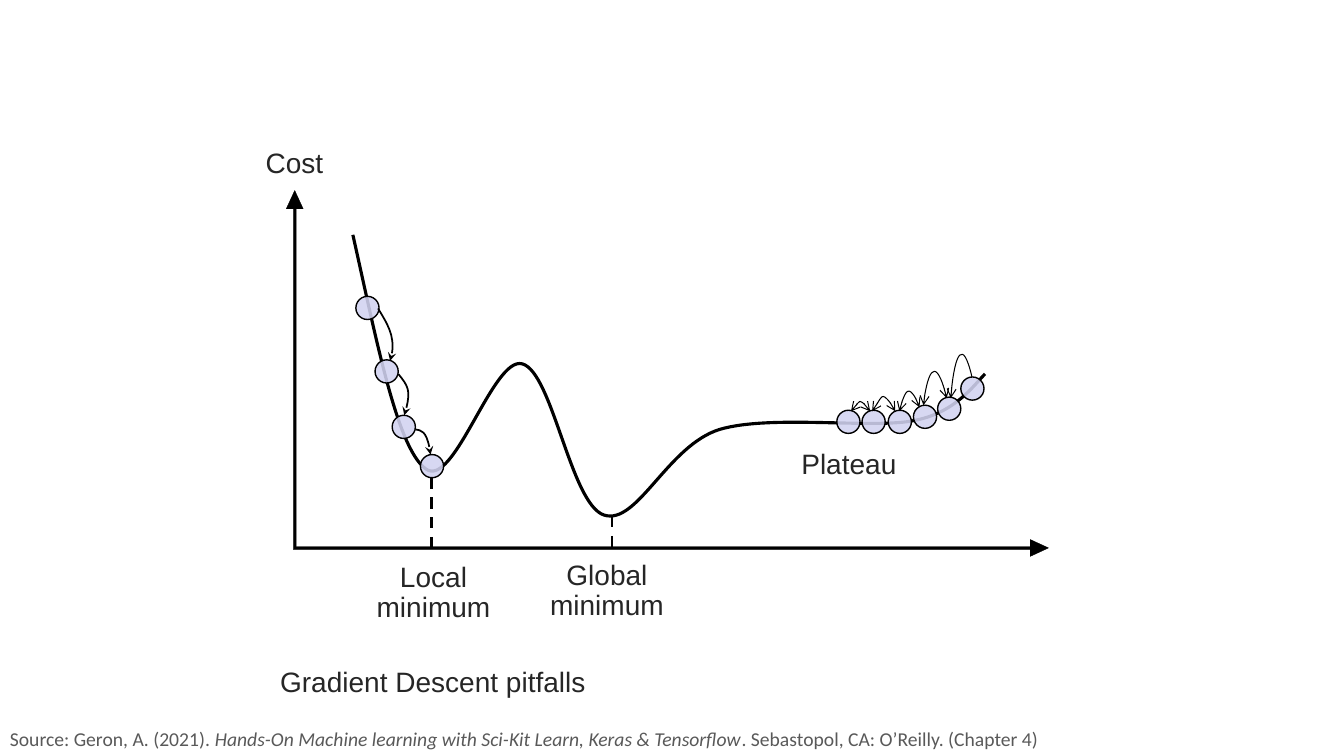
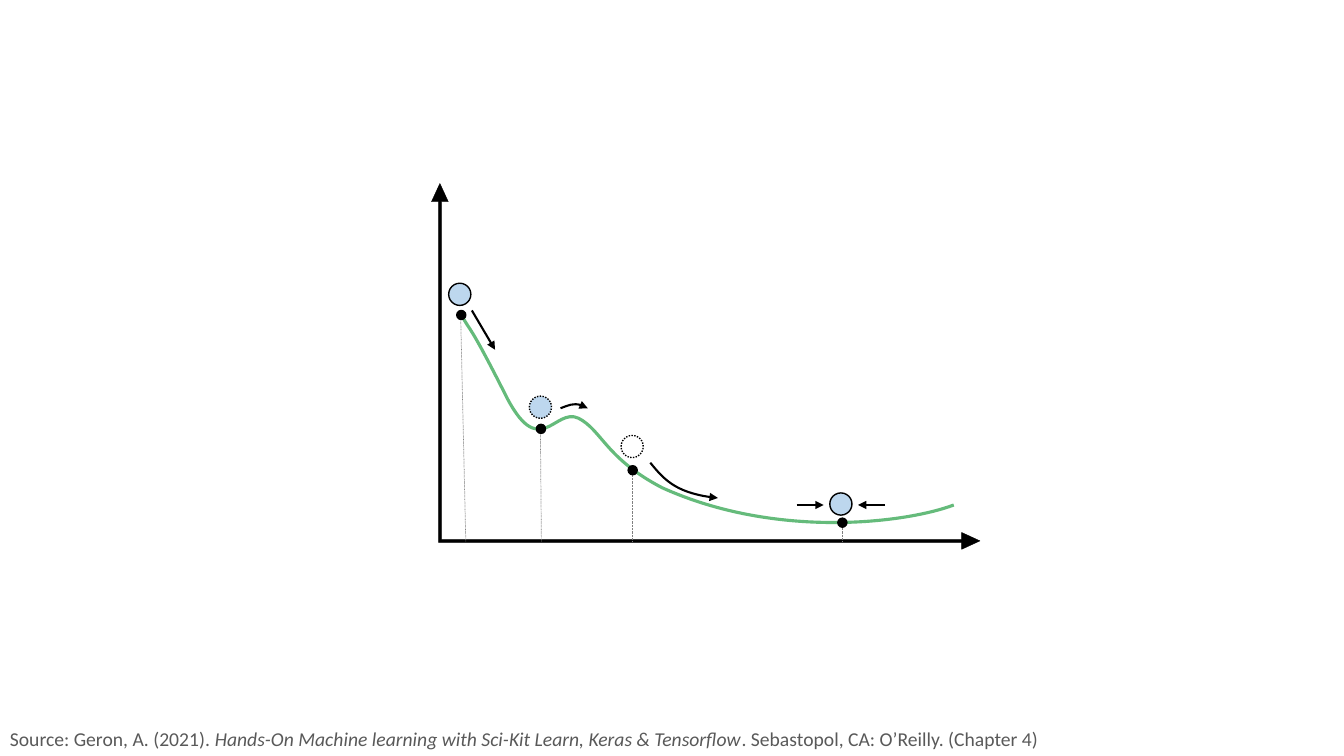
from lxml import etree
from pptx import Presentation
from pptx.dml.color import RGBColor
from pptx.enum.dml import MSO_LINE
from pptx.enum.shapes import MSO_CONNECTOR, MSO_SHAPE
from pptx.enum.text import PP_ALIGN
from pptx.oxml.ns import qn
from pptx.util import Inches, Pt

ELLIPSE, AXES = MSO_SHAPE.OVAL, MSO_SHAPE.LEFT_UP_ARROW
STRAIGHT = MSO_CONNECTOR.STRAIGHT
DASH, DOT = MSO_LINE.DASH, MSO_LINE.ROUND_DOT
CENTER = PP_ALIGN.CENTER

COLORS = {
    "ink": "000000",
    "label": "262626",
    "source": "595959",
    "guide": "808080",
    "step": "D2D3F1",
    "ball": "BDD7EE",
    "momentum": "65BB7B",
}
LABEL = {"name": "Arial", "size": Pt(20)}
SOURCE = {"name": "Calibri", "size": Pt(14)}
SOURCE_RUNS = [
    ("Source: Geron, A. (2021). ", False),
    ("Hands-On Machine learning with Sci-Kit Learn, Keras & Tensorflow", True),
    (". Sebastopol, CA: O’Reilly. (Chapter 4)", False),
]
AXES_ADJUSTMENTS = (0.008, 0.023, 0.05)
SAMPLES = 20


def rgb(name):
    return RGBColor.from_string(COLORS[name])


def style_line(shape, width, color="ink", dash=None, head=None, tail=None):
    line = shape.line
    line.color.rgb = rgb(color)
    line.width = Pt(width)
    if dash:
        line.dash_style = dash
    ln = shape._element.spPr.find(qn("a:ln"))
    for tag, kind in (("a:headEnd", head), ("a:tailEnd", tail)):
        if kind:
            etree.SubElement(ln, qn(tag), type=kind)


def add_text(s, box, runs, fmt, color, align=None, spacing=None):
    """Write one paragraph of (text, italic) runs in a wrapping box."""
    tf = s.shapes.add_textbox(*map(Inches, box)).text_frame
    tf.word_wrap = True
    p = tf.paragraphs[0]
    p.alignment = align
    p.line_spacing = spacing
    for text, italic in runs:
        r = p.add_run()
        r.text = text
        r.font.color.rgb = rgb(color)
        for key, value in {**fmt, "italic": italic}.items():
            setattr(r.font, key, value)


def cubic(a, b, c, d, t):
    u = 1 - t
    return tuple(u**3 * i + 3 * u * u * t * j + 3 * u * t * t * k + t**3 * m
                 for i, j, k, m in zip(a, b, c, d))


class Plot:
    """A pair of axes; all positions are inches from its top left corner."""

    def __init__(self, s, left, top, width, height):
        self.s, self.left, self.top = s, left, top
        axes = self.shape(AXES, 0, 0, width, height, "ink")
        axes._element.spPr.find(qn("a:xfrm")).set("flipH", "1")
        for i, value in enumerate(AXES_ADJUSTMENTS):
            axes.adjustments[i] = value
        style_line(axes, 0.25)

    def at(self, x, y):
        return Inches(self.left + x), Inches(self.top + y)

    def shape(self, kind, x, y, width, height, fill=None):
        shape = self.s.shapes.add_shape(
            kind, *self.at(x, y), Inches(width), Inches(height))
        shape.shadow.inherit = False
        if fill:
            shape.fill.solid()
            shape.fill.fore_color.rgb = rgb(fill)
        else:
            shape.fill.background()
        return shape

    def circle(self, x, y, size, fill=None, dash=None, opacity=None):
        circle = self.shape(ELLIPSE, x, y, size, size, fill)
        style_line(circle, 1, dash=dash)
        if opacity:
            color = circle._element.spPr.find(qn("a:solidFill"))[0]
            etree.SubElement(color, qn("a:alpha"), val=str(opacity * 1000))

    def line(self, start, end, width, **style):
        line = self.s.shapes.add_connector(
            STRAIGHT, *self.at(*start), *self.at(*end))
        style_line(line, width, **style)
        etree.SubElement(line._element.spPr, qn("a:effectLst"))

    def curve(self, points, width, **style):
        """Draw a Bezier curve: a start, then three points for each segment."""
        points = [self.at(*point) for point in points]
        samples = [cubic(*points[i:i + 4], n / SAMPLES)
                   for i in range(0, len(points) - 1, 3)
                   for n in range(1, SAMPLES + 1)]
        builder = self.s.shapes.build_freeform(*points[0])
        builder.add_line_segments(samples, close=False)
        curve = builder.convert_to_shape()
        # The samples give the tight bounds; the segments become true Beziers.
        outline = next(curve._element.spPr.iter(qn("a:path")))
        for segment in list(outline)[1:]:
            outline.remove(segment)
        for i, (x, y) in enumerate(points[1:]):
            if i % 3 == 0:
                bezier = etree.SubElement(outline, qn("a:cubicBezTo"))
            etree.SubElement(bezier, qn("a:pt"), x=str(x - curve.left),
                             y=str(y - curve.top))
        curve.shadow.inherit = False
        curve.fill.background()
        style_line(curve, width, **style)

    def label(self, text, x, y, width=1.8, height=0.71):
        add_text(self.s, (self.left + x, self.top + y, width, height),
                 [(text, False)], LABEL, "label", CENTER, 0.9)


def new_slide(prs):
    s = prs.slides.add_slide(prs.slide_layouts[6])
    add_text(s, (0, 7.16, 13.33, 0.34), SOURCE_RUNS, SOURCE, "source")
    return s


def pitfalls_slide(prs):
    plot = Plot(new_slide(prs), 2.84, 1.89, 7.56, 3.63)
    for text, x, y in (("Cost", -0.82, -0.46), ("Local minimum", 0.56, 3.65),
                       ("Global minimum", 2.28, 3.63), ("Plateau", 4.68, 2.53)):
        plot.label(text, x, y)
    plot.label("Gradient Descent pitfalls", -0.26, 4.69, 3.43, 0.4)

    plot.curve([(0.66, 0.44),
                (0.9, 1.51), (1.1, 2.55), (1.38, 2.76),
                (1.66, 2.98), (2.05, 1.64), (2.34, 1.72),
                (2.64, 1.8), (2.82, 3.11), (3.15, 3.22),
                (3.48, 3.33), (3.78, 2.53), (4.3, 2.37),
                (4.81, 2.22), (5.84, 2.37), (6.24, 2.28),
                (6.64, 2.2), (6.82, 1.93), (6.93, 1.82)], 2.25)
    for x, y in ((0.69, 1.05), (0.88, 1.68), (1.05, 2.23), (1.33, 2.62),
                 (5.46, 2.18), (5.71, 2.18), (5.97, 2.18), (6.22, 2.13),
                 (6.46, 2.05), (6.69, 1.85)):
        plot.circle(x, y, 0.23, "step", opacity=88)
    for x, y in ((1.44, 2.85), (3.23, 3.23)):
        plot.line((x, y), (x, 3.55), 2, dash=DASH)

    descent_hops = (
        [(0.91, 1.17), (1, 1.32), (1.1, 1.47), (1.03, 1.69)],
        [(1.11, 1.82), (1.21, 1.94), (1.24, 2), (1.17, 2.23)],
        [(1.28, 2.37), (1.34, 2.38), (1.4, 2.39), (1.43, 2.62)],
    )
    plateau_hops = (
        [(5.6, 2.19), (5.65, 2.12), (5.7, 2.04), (5.79, 2.19)],
        [(5.81, 2.19), (5.87, 2.11), (5.92, 1.95), (6.04, 2.19)],
        [(6.08, 2.19), (6.11, 2.04), (6.19, 1.89), (6.28, 2.15)],
        [(6.32, 2.13), (6.33, 1.94), (6.44, 1.58), (6.55, 2.06)],
    )
    first_plateau_hop = [(6.59, 2.06), (6.62, 1.65), (6.71, 1.46), (6.8, 1.85)]
    for hop in descent_hops:
        plot.curve(hop, 1.25, tail="stealth")
    for hop in plateau_hops:
        plot.curve(hop, 0.75, head="arrow", tail="arrow")
    plot.curve(first_plateau_hop, 0.75, head="arrow")


def momentum_slide(prs):
    plot = Plot(new_slide(prs), 4.28, 1.82, 5.44, 3.63)
    plot.curve([(0.3, 1.31),
                (0.39, 1.48), (0.36, 1.36), (0.72, 2.07),
                (1.07, 2.79), (1.22, 2.21), (1.46, 2.33),
                (1.69, 2.45), (1.73, 2.73), (2.29, 3.02),
                (3.42, 3.53), (4.7, 3.37), (5.18, 3.19)],
               2.25, color="momentum")
    for x, y, fill, dash in ((0.17, 0.99, "ball", None),
                             (0.97, 2.11, "ball", DOT),
                             (1.88, 2.5, None, DOT),
                             (3.95, 3.07, "ball", None)):
        plot.circle(x, y, 0.22, fill, dash)
    for foot, x, y in ((0.34, 0.29, 1.35), (1.09, 1.08, 2.48),
                       (1.99, 1.99, 2.86), (4.07, 4.07, 3.34)):
        plot.line((foot, 3.55), (x, y), 0.5, color="guide", dash=DOT)
    for x, y in ((0.25, 1.26), (1.04, 2.39), (1.95, 2.8), (4.03, 3.32)):
        plot.circle(x, y, 0.09, "ink")

    for start, end in (((0.4, 1.26), (0.63, 1.65)),
                       ((3.62, 3.19), (3.89, 3.19)),
                       ((4.5, 3.19), (4.23, 3.19))):
        plot.line(start, end, 1.5, tail="triangle")
    for points in ([(1.28, 2.23), (1.36, 2.2), (1.44, 2.16), (1.55, 2.23)],
                   [(2.17, 2.77), (2.3, 2.93), (2.43, 3.08), (2.84, 3.12)]):
        plot.curve(points, 1.5, tail="triangle")


def main():
    prs = Presentation()
    prs.slide_width, prs.slide_height = Inches(13.33), Inches(7.5)
    pitfalls_slide(prs)
    momentum_slide(prs)
    prs.save("out.pptx")


if __name__ == "__main__":
    main()
